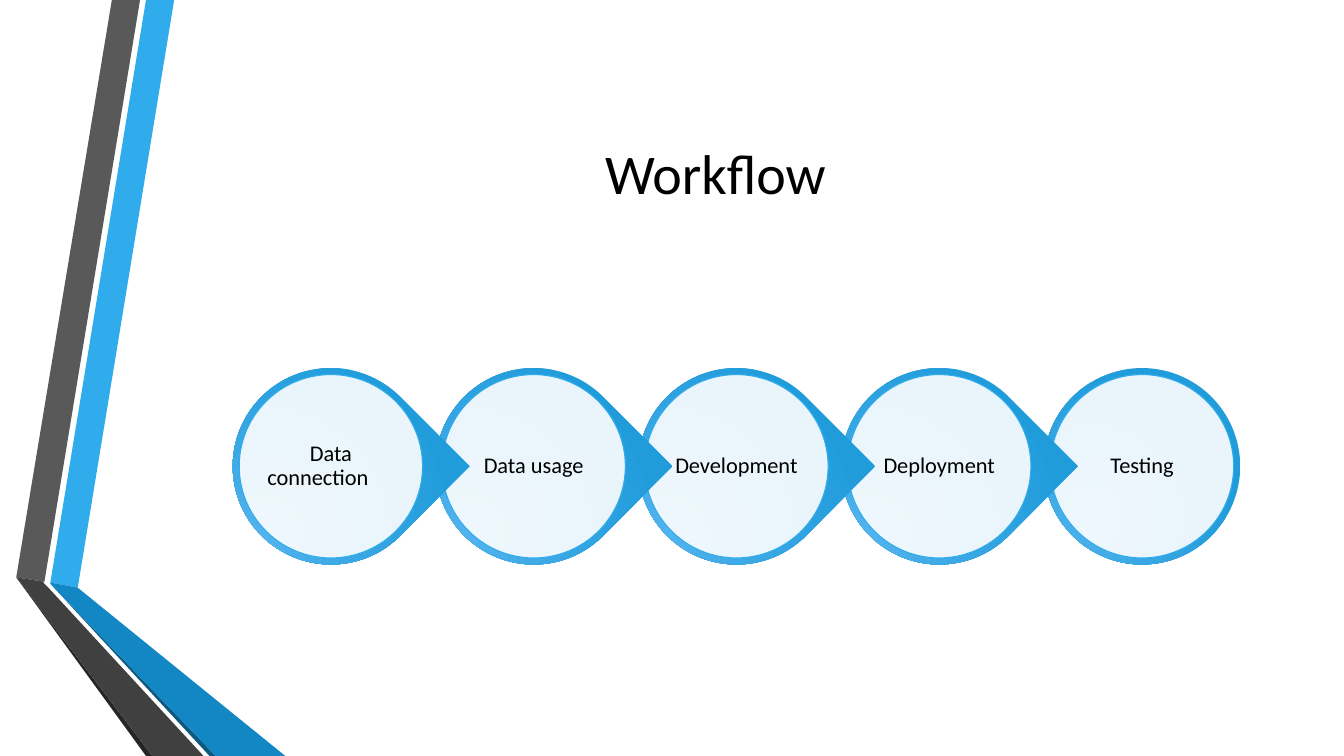
import lxml.etree
import pptx
import pptx.dml.color
import pptx.enum.shapes
import pptx.enum.text
import pptx.oxml.ns
import pptx.util

Cm = pptx.util.Cm
qn = pptx.oxml.ns.qn

COLOURS = {
    "text": "000000",
    "white": "FFFFFF",
    "sky": "30ACEC",
    "blue": "1287C3",
    "navy": "0C5A82",
    "grey": "595959",
    "charcoal": "404040",
    "black": "262626",
    "glow": "51B3ED",
    "rim": "219CDB",
}

RIBBONS = [
    ("sky", [(1.27, 14.68), (1.96, 14.81), (4.39, 0), (3.68, 0)]),
    ("grey", [(3.53, 0), (2.82, 0), (0.41, 14.55), (1.12, 14.66)]),
    ("black", [(0.41, 14.55), (3.68, 19.05), (3.84, 19.05)]),
    ("navy", [(1.27, 14.71), (5.28, 19.05), (5.44, 19.05)]),
    ("blue", [(1.27, 14.71), (5.44, 19.05), (7.19, 19.05), (1.96, 14.81), (1.27, 14.68)]),
    ("charcoal", [(5.13, 19.05), (1.22, 14.81), (1.09, 14.68), (1.12, 14.66),
                  (0.41, 14.55), (3.84, 19.05)]),
]

STEPS = ["Data connection\t", "Data usage", "Development", "Deployment", "Testing"]
FIRST_X, CENTRE_Y, PITCH = 8.34, 11.75, 5.11
RIM_SIZE, DISC_SIZE, LABEL_SIZE = 4.95, 4.62, 3.3


def rgb(name):
    return pptx.dml.color.RGBColor.from_string(COLOURS[name])


def centred(x, y, size):
    return x - size / 2, y - size / 2, size, size


class SlideBuilder:
    font = "Calibri"

    def __init__(self, page):
        self.page = page

    def ribbon(self, colour, points):
        corners = [(Cm(x), Cm(y)) for x, y in points]
        builder = self.page.shapes.build_freeform(*corners[0])
        builder.add_line_segments(corners[1:], close=True)
        shape = builder.convert_to_shape()
        shape.shadow.inherit = False
        shape.fill.solid()
        shape.fill.fore_color.rgb = rgb(colour)
        shape.line.fill.background()

    def preset(self, kind, area):
        shape = self.page.shapes.add_shape(kind, *map(Cm, area))
        shape.shadow.inherit = False
        return shape

    def rim(self, kind, area, rotation):
        shape = self.preset(kind, area)
        shape.rotation = rotation
        shape.line.fill.background()
        shape.fill.gradient()
        for stop, colour in zip(shape.fill.gradient_stops, ("glow", "rim")):
            stop.color.rgb = rgb(colour)
        gradient = shape._element.spPr.find(qn("a:gradFill"))
        gradient.set("rotWithShape", "1")
        gradient.remove(gradient.find(qn("a:lin")))
        radial = lxml.etree.SubElement(gradient, qn("a:path"), {"path": "circle"})
        focus = {"l": "50000", "t": "100000", "r": "100000", "b": "50000"}
        lxml.etree.SubElement(radial, qn("a:fillToRect"), focus)

    def disc(self, area):
        shape = self.preset(pptx.enum.shapes.MSO_SHAPE.OVAL, area)
        shape.fill.solid()
        shape.fill.fore_color.rgb = rgb("white")
        colour = shape._element.spPr.find(qn("a:solidFill"))[0]
        lxml.etree.SubElement(colour, qn("a:alpha"), {"val": "90000"})
        shape.line.color.rgb = rgb("sky")
        shape.line.width = pptx.util.Pt(0.75)

    def text(self, words, area, size, inset, spacing):
        box = self.page.shapes.add_textbox(*map(Cm, area))
        para = box.text_frame.paragraphs[0]
        span = para.add_run()
        span.text = words
        span.font.color.rgb = rgb("text")
        sides = ("margin_left", "margin_top", "margin_right", "margin_bottom")
        frame_format = dict.fromkeys(sides, Cm(inset))
        frame_format["word_wrap"] = True
        frame_format["vertical_anchor"] = pptx.enum.text.MSO_ANCHOR.MIDDLE
        formats = [
            (box.text_frame, frame_format),
            (para, {"alignment": pptx.enum.text.PP_ALIGN.CENTER, "line_spacing": spacing}),
            (span.font, {"name": self.font, "size": pptx.util.Pt(size)}),
        ]
        for target, values in formats:
            for name, value in values.items():
                setattr(target, name, value)


def main():
    deck = pptx.Presentation()
    deck.slide_width, deck.slide_height = Cm(33.87), Cm(19.05)
    builder = SlideBuilder(deck.slides.add_slide(deck.slide_layouts[6]))

    for colour, points in RIBBONS:
        builder.ribbon(colour, points)
    builder.text("Workflow", (4.11, 1.9, 27.84, 4.88), 40, 0.25, 1.0)

    kinds = pptx.enum.shapes.MSO_SHAPE
    last = len(STEPS) - 1
    for index, step in reversed(list(enumerate(STEPS))):
        x = FIRST_X + index * PITCH
        kind, rotation = (kinds.OVAL, 0) if index == last else (kinds.TEAR, 45)
        builder.rim(kind, centred(x, CENTRE_Y, RIM_SIZE), rotation)
        builder.disc(centred(x, CENTRE_Y, DISC_SIZE))
        builder.text(step, centred(x, CENTRE_Y, LABEL_SIZE), 16, 0.05, 0.9)

    deck.save("out.pptx")


if __name__ == "__main__":
    main()
